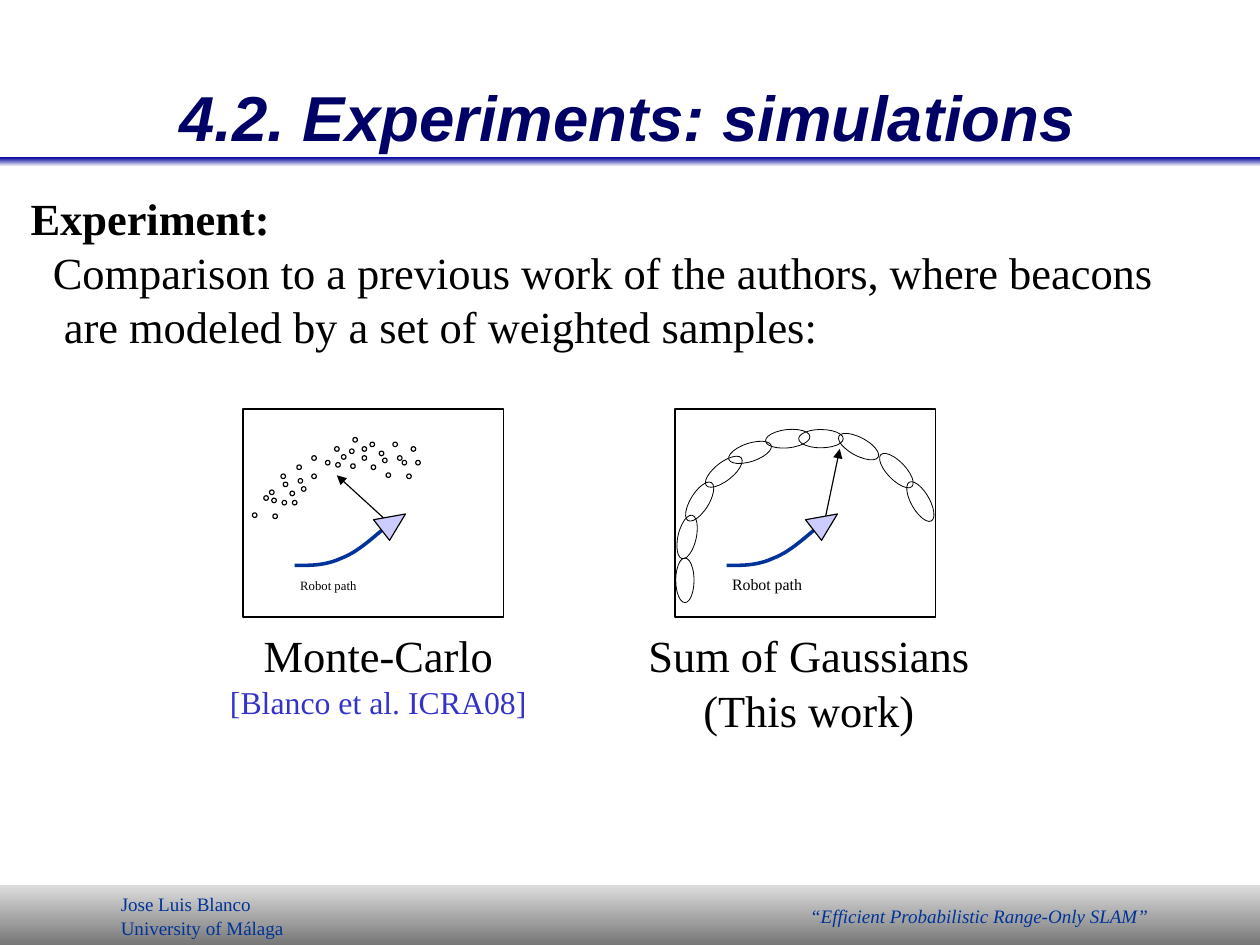
from lxml import etree
from pptx import Presentation
from pptx.dml.color import RGBColor as Rgb
from pptx.enum.shapes import MSO_CONNECTOR as Link, MSO_SHAPE as Kind
from pptx.enum.text import MSO_ANCHOR as Anchor, MSO_AUTO_SIZE as Fit, PP_ALIGN as Align
from pptx.oxml.ns import qn
from pptx.util import Pt

BLACK = Rgb(0x00, 0x00, 0x00)
NAVY = Rgb(0x00, 0x00, 0x66)
BLUE = Rgb(0x00, 0x33, 0x99)
CITE = Rgb(0x33, 0x33, 0xCC)
LILAC = Rgb(0xCC, 0xCC, 0xFF)
SILVER = Rgb(0xDD, 0xDD, 0xDD)
GRAY = Rgb(0x77, 0x77, 0x77)
ROYAL = Rgb(0x00, 0x00, 0x99)
PALE = Rgb(0xFE, 0xFE, 0xFE)
SERIF = "Times New Roman"

WIDE, HIGH = 793.7, 595.28
PANEL = 164, 131
DOT = 2.9
OVAL = 28.1, 11.5

# Offsets from the top left corner of a panel
CURVE = [(32.4, 98.6), (42.5, 98.6), (51.8, 98.6), (61.2, 94.3),
         (71.3, 90.7), (80.6, 82.1), (90, 74.2)]
ROBOT = [(82.1, 69.8), (92.2, 82.8), (102.2, 66.2)]
SENSOR = 93.6, 73.4
DOTS = [
    (16.6, 51.1), (33.8, 35.3), (23.8, 41), (29.5, 51.8), (43.2, 29.5),
    (57.6, 23.8), (43.2, 41), (34.6, 43.9), (67.7, 34.6), (74.9, 23.8),
    (80.6, 35.3), (85.7, 26.6), (61.9, 28.8), (69.1, 18), (74.9, 29.5),
    (79.9, 20.9), (90, 40.3), (97.2, 29.5), (103, 41), (108.7, 32.4),
    (87.8, 31), (94.3, 20.9), (100.1, 32.4), (105.8, 23.8), (18, 56.2),
    (25.2, 46.1), (31, 57.6), (36.7, 49), (5.8, 65.5), (13, 54.7),
    (18.7, 66.2), (24.5, 57.6), (51.8, 32.4), (58.3, 33.8), (67, 25.2)]
OVALS = [  # left, top, turn
    (77.8, 13, 0), (101.5, 18, 28.2), (125.3, 33.1, 45.9), (140.4, 52.6, 60.2),
    (56.9, 13, 354), (33.1, 21.6, 341.8), (16.6, 33.8, 321.8),
    (1.4, 52.6, 301.8), (-6.5, 74.9, 283), (-7.9, 102.2, 270)]


def style(shape, color, width, fill=None):
    shape.shadow.inherit = False
    shape.line.color.rgb = color
    shape.line.width = Pt(width)
    if fill is None:
        shape.fill.background()
    else:
        shape.fill.solid()
        shape.fill.fore_color.rgb = fill


def outline(shapes, kind, box, width, turn=0):
    shape = shapes.add_shape(kind, *map(Pt, box))
    style(shape, BLACK, width)
    shape.rotation = turn


def band(shapes, box, top, bottom):
    """Add a borderless bar that fades from top to bottom."""
    bar = shapes.add_shape(Kind.ROUNDED_RECTANGLE, *map(Pt, box))
    bar.adjustments[0] = 0.017
    bar.shadow.inherit = False
    bar.line.fill.background()
    bar.fill.gradient()
    bar.fill.gradient_angle = 270
    for stop, color in zip(bar.fill.gradient_stops, (top, bottom)):
        stop.color.rgb = color


def text(shapes, box, lines, size, color=BLACK, align=Align.LEFT):
    """Add one paragraph per line, with slim margins so that no line wraps."""
    frame = shapes.add_textbox(*map(Pt, box)).text_frame
    frame.word_wrap = True
    frame.auto_size = Fit.NONE
    frame.margin_right = 0
    if align == Align.CENTER:
        frame.margin_left = 0
    for i, line in enumerate(lines):
        para = frame.add_paragraph() if i else frame.paragraphs[0]
        para.text = line
        para.alignment = align
        para.line_spacing = 1.02
        para.font.name = SERIF
        para.font.size = Pt(size)
        para.font.color.rgb = color
    return frame.paragraphs


def freeform(shapes, points, close):
    start, *rest = [tuple(map(Pt, point)) for point in points]
    build = shapes.build_freeform(*start)
    build.add_line_segments(rest, close=close)
    return build.convert_to_shape()


def bezier(knots, steps=12):
    """Return points along a chain of cubic curves."""
    points = [knots[0]]
    for i in range(0, len(knots) - 1, 3):
        for step in range(1, steps + 1):
            t = step / steps
            rate = ((1 - t) ** 3, 3 * t * (1 - t) ** 2, 3 * t * t * (1 - t), t ** 3)
            points.append(tuple(sum(r * k[axis] for r, k in zip(rate, knots[i:i + 4]))
                                for axis in (0, 1)))
    return points


def arrow(shapes, start, end):
    link = shapes.add_connector(Link.STRAIGHT, *map(Pt, start + end))
    link.line.color.rgb = BLACK
    link.line.width = Pt(0.75)
    props = link._element.spPr
    etree.SubElement(props.find(qn("a:ln")), qn("a:tailEnd"), type="triangle")
    etree.SubElement(props, qn("a:effectLst"))


def header(slide, box):
    left, top, width, height = box
    band(slide.shapes, (left, top + 76.8, WIDE, 5.8), ROYAL, PALE)
    title = slide.shapes.title
    title.left, title.top, title.width, title.height = map(Pt, box)
    frame = title.text_frame
    frame.text = "4.2. Experiments: simulations"
    frame.auto_size = Fit.NONE
    frame.vertical_anchor = Anchor.MIDDLE
    frame.margin_left = Pt(113)
    frame.margin_top = frame.margin_right = frame.margin_bottom = 0
    para = frame.paragraphs[0]
    para.alignment = Align.LEFT
    para.line_spacing = 1.04
    font = para.font
    font.name, font.size, font.bold, font.italic = "Arial", Pt(40), True, True
    font.color.rgb = NAVY


def footer(shapes, box):
    left, top, width, height = box
    band(shapes, box, SILVER, GRAY)
    text(shapes, (left + 69, top + 1.3, 116.6, 36.7),
         ["Jose Luis Blanco", "University of Málaga"], 12, BLUE)
    talk = text(shapes, (left + 503.3, top + 8.4, 227.5, 22.3),
                ["“Efficient Probabilistic Range-Only SLAM”"], 12, BLUE)
    talk[0].font.italic = True


def intro(shapes, box):
    paras = text(shapes, box, [
        "Experiment:",
        "Comparison to a previous work of the authors, where beacons",
        "are modeled by a set of weighted samples:"], 28)
    paras[0].font.bold = True
    for para, indent in zip(paras[1:], (14, 21)):
        para._p.get_or_add_pPr().set("marL", str(Pt(indent)))


def panel(slide, box, target, label, size):
    """Draw the framed robot path, sensing towards target; return its group's shapes."""
    left, top, width, height = box

    def place(points):
        return [(left + x, top + y) for x, y in points]

    shapes = slide.shapes.add_group_shape().shapes
    style(freeform(shapes, place(bezier(CURVE)), False), BLUE, 2.25)
    outline(shapes, Kind.RECTANGLE, box, 1)
    x, y, wide, high = label
    text(shapes, (left + x, top + y, wide, high), ["Robot path"], size)
    arrow(shapes, *place([SENSOR, target]))
    style(freeform(shapes, place(ROBOT), True), BLACK, 0.75, LILAC)
    return shapes


def samples(slide, left, top):
    shapes = panel(slide, (left, top, *PANEL), (59, 41.8), (28.8, 103, 49.7, 17.3), 8)
    for x, y in DOTS:
        outline(shapes, Kind.OVAL, (left + x, top + y, DOT, DOT), 0.75)
    names = text(slide.shapes, (left - 15.3, top + 134, 200.9, 66.2),
                 ["Monte-Carlo", "[Blanco et al. ICRA08]"], 28, align=Align.CENTER)
    names[1].font.size = Pt(20)
    names[1].font.color.rgb = CITE


def gaussians(slide, left, top):
    shapes = panel(slide, (left, top, *PANEL), (103.7, 25.2), (28.8, 100.5, 58.3, 19.4), 10)
    for x, y, turn in OVALS:
        outline(shapes, Kind.OVAL, (left + x, top + y, *OVAL), 0.5, turn)
    text(slide.shapes, (left - 23.8, top + 134, 216, 75.6),
         ["Sum of Gaussians", "(This work)"], 28, align=Align.CENTER)


def main():
    deck = Presentation()
    deck.slide_width, deck.slide_height = Pt(WIDE), Pt(HIGH)
    slide = deck.slides.add_slide(deck.slide_layouts[5])
    footer(slide.shapes, (0, 557.3, WIDE, 38))
    header(slide, (0, 22.3, 782.6, 99.4))
    intro(slide.shapes, (12.2, 115.9, 720.7, 110.2))
    samples(slide, 153.2, 257.6)
    gaussians(slide, 425.3, 257.6)
    deck.save("out.pptx")


if __name__ == "__main__":
    main()
